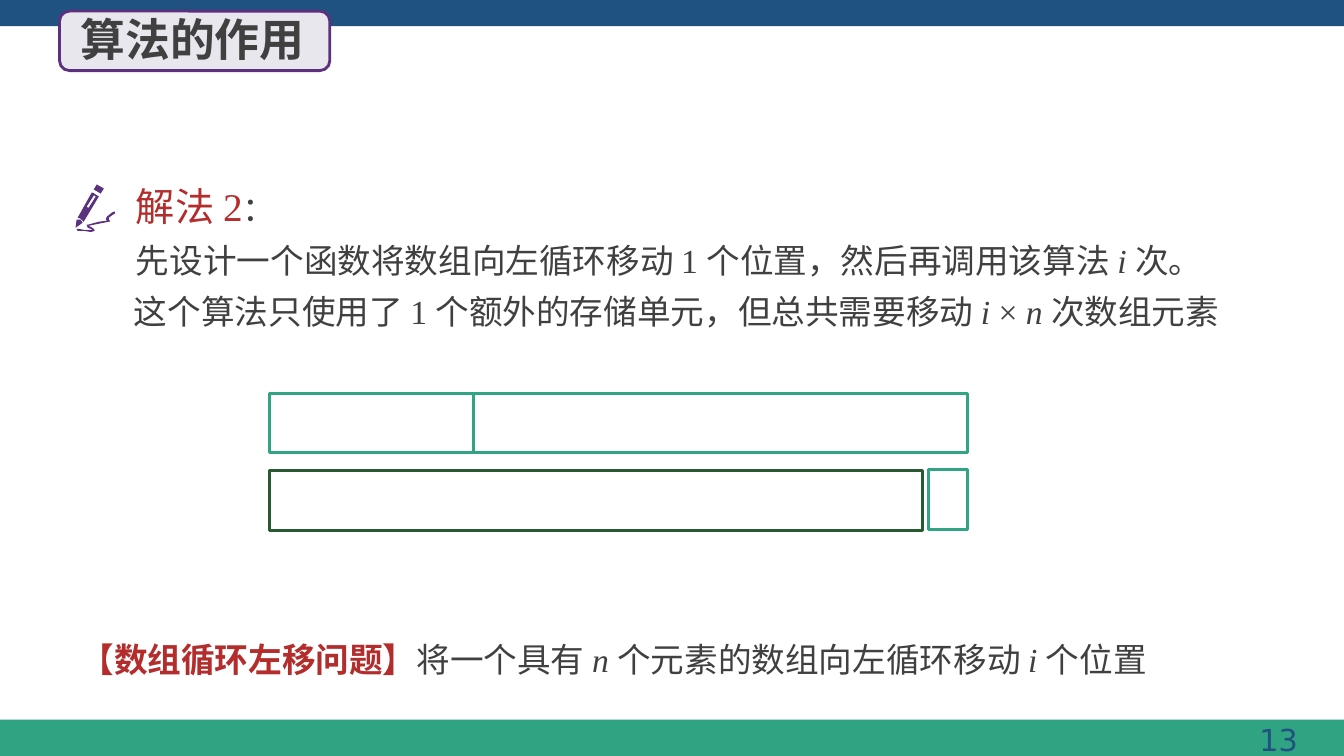
from lxml import etree
from pptx import Presentation
from pptx.dml.color import RGBColor
from pptx.enum.shapes import MSO_CONNECTOR, MSO_SHAPE
from pptx.enum.text import PP_ALIGN
from pptx.oxml.ns import qn
from pptx.util import Inches, Pt

RECTANGLE = MSO_SHAPE.RECTANGLE
ROUNDED = MSO_SHAPE.ROUNDED_RECTANGLE
STRAIGHT = MSO_CONNECTOR.STRAIGHT
LEFT, RIGHT = PP_ALIGN.LEFT, PP_ALIGN.RIGHT
GREEN, BLUE, GREY, RED = "30A483", "1F5281", "404040", "B42D2D"
PURPLE, DARK_GREEN = "5A327D", "285A32"
CHINESE, SERIF, SANS = "Noto Sans CJK SC", "Times New Roman", "DejaVu Sans"

presentation = Presentation()
presentation.slide_width = Inches(13.33)
presentation.slide_height = Inches(7.5)
slide = presentation.slides.add_slide(presentation.slide_layouts[6])
shapes = slide.shapes


def color(hex_value):
    return RGBColor.from_string(hex_value)


def share(*percentages):
    sides = (presentation.slide_width, presentation.slide_height) * 2
    return [round(side * percent / 100) for side, percent in zip(sides, percentages)]


array_left, array_top, array_width, array_height = 20.03, 52, 51.99, 7.87
last_cell_width = 2.93
last_cell_left = array_left + array_width - last_cell_width
boxes = [
    (RECTANGLE, (0, 95.2, 100, 4.8), "30A383", None, 0),
    (RECTANGLE, (0, 0, 100, 3.47), BLUE, None, 0),
    (ROUNDED, (4.43, 1.47, 20.11, 7.87), "E7E7ED", "5C307D", 2),
    (RECTANGLE, (array_left, array_top, array_width, array_height), None, GREEN, 2.25),
    (RECTANGLE, (array_left, 62.27, 48.61, array_height), None, DARK_GREEN, 2.25),
    (RECTANGLE, (last_cell_left, 62.13, last_cell_width, array_height), None, GREEN, 2.25),
]
for kind, area, fill, line, weight in boxes:
    shape = shapes.add_shape(kind, *share(*area))
    shape.shadow.inherit = False
    if fill:
        shape.fill.solid()
        shape.fill.fore_color.rgb = color(fill)
    else:
        shape.fill.background()
    if line:
        shape.line.color.rgb = color(line)
        shape.line.width = Pt(weight)
    else:
        shape.line.fill.background()

divider = shapes.add_connector(
    STRAIGHT, *share(35.26, array_top, 35.26, array_top + array_height))
divider.line.color.rgb = color(GREEN)
divider.line.width = Pt(2.25)
etree.SubElement(divider._element.spPr, qn("a:effectLst"))

pencil_parts = [
    [[(100, 192), (103, 187), (96, 183), (93, 188)]],
    [[(82, 221), (79.5, 218.5), (77, 218), (76, 218), (75, 226)]],
    [[(83, 220), (98, 195), (92, 191), (91, 191), (77, 216), (80, 217)],
     [(86, 205), (93, 194), (94, 194), (95, 195), (88, 206), (87, 206)]],
    [[(114, 210), (113, 210), (111, 211), (106, 215), (105, 217), (106, 219),
      (98, 220), (87, 223), (86, 223), (87, 225.5), (90, 227), (92, 228), (89, 228),
      (83, 228), (77, 227), (76, 228), (77, 229), (83, 229), (89, 230), (91, 230),
      (94, 229), (93, 227), (90, 225), (88, 224), (98, 222), (108, 220), (109, 220),
      (109, 219), (108, 218), (108, 216), (112, 213), (114, 212)]],
]
for outlines in pencil_parts:
    builder = shapes.build_freeform(*outlines[0][0], scale=presentation.slide_width / 1333)
    for outline in outlines:
        builder.move_to(*outline[0])
        builder.add_line_segments(outline[1:], close=True)
    part = builder.convert_to_shape()
    part.shadow.inherit = False
    part.fill.solid()
    part.fill.fore_color.rgb = color(PURPLE)
    part.line.fill.background()

italic = {"italic": True}
texts = [
    ((75.24, 94.8, 22.06, 6.13), RIGHT, SANS, 21.6, BLUE, None, [[("13", {})]]),
    ((5.25, 0.93, 19.05, 8.53), LEFT, CHINESE, 32, GREY, None,
     [[("算法的作用", {"bold": True})]]),
    ((5.25, 82.67, 90.17, 7.33), LEFT, SERIF, 24, GREY, 35,
     [[("【数组循环左移问题】", {"bold": True, "name": CHINESE, "color": RED}),
       ("将一个具有 ", {}), ("n ", italic), ("个元素的数组向左循环移动 ", {}),
       ("i ", italic), ("个位置", {})]]),
    ((9.38, 24.13, 84.85, 13.73), LEFT, SERIF, 24, GREY, 30,
     [[("解法 2", {"size": Pt(28), "color": RED}), ("：", {})],
      [("先设计一个函数将数组向左循环移动 1 个位置，然后再调用该算法 ", {}),
       ("i ", italic), ("次。", {})]]),
    ((9.23, 37.6, 84.85, 6.67), LEFT, SERIF, 24, GREY, 30,
     [[("这个算法只使用了 1 个额外的存储单元，但总共需要移动 ", {}),
       ("i ", italic), ("× ", {}), ("n ", italic), ("次数组元素", {})]]),
]
for area, alignment, typeface, size, ink, spacing, lines in texts:
    frame = shapes.add_textbox(*share(*area)).text_frame
    frame.word_wrap = True
    for index, runs in enumerate(lines):
        paragraph = frame.paragraphs[0] if index == 0 else frame.add_paragraph()
        paragraph.alignment = alignment
        if spacing:
            paragraph.line_spacing = Pt(spacing)
        if index < len(lines) - 1:
            paragraph.space_after = Pt(6)
        paragraph.font.name = typeface
        paragraph.font.size = Pt(size)
        paragraph.font.color.rgb = color(ink)
        for text, style in runs:
            run = paragraph.add_run()
            run.text = text
            for attribute, value in style.items():
                if attribute == "color":
                    run.font.color.rgb = color(value)
                else:
                    setattr(run.font, attribute, value)
            east_asian = etree.SubElement(run.font._element, qn("a:ea"))
            east_asian.set("typeface", CHINESE)

presentation.save("out.pptx")
